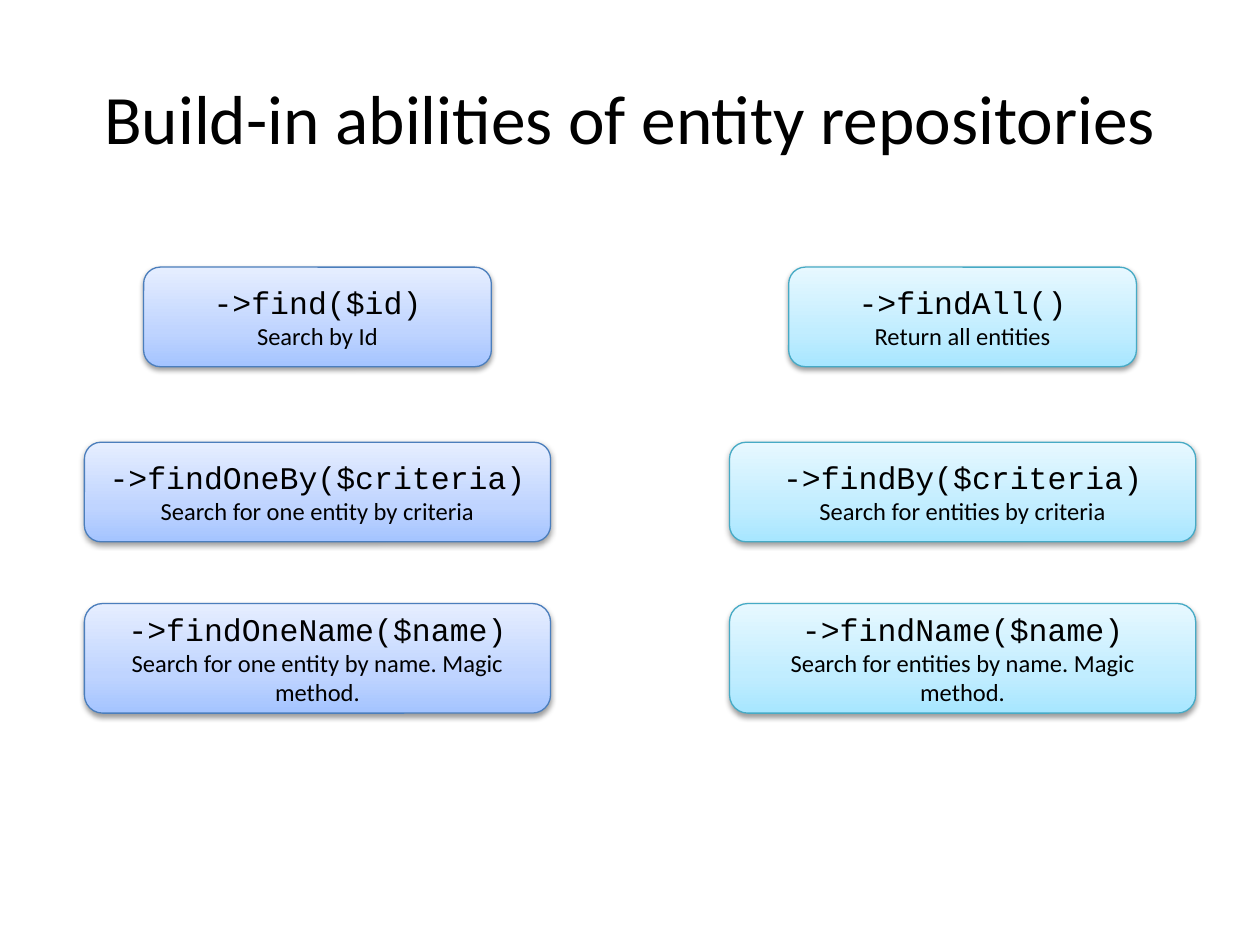
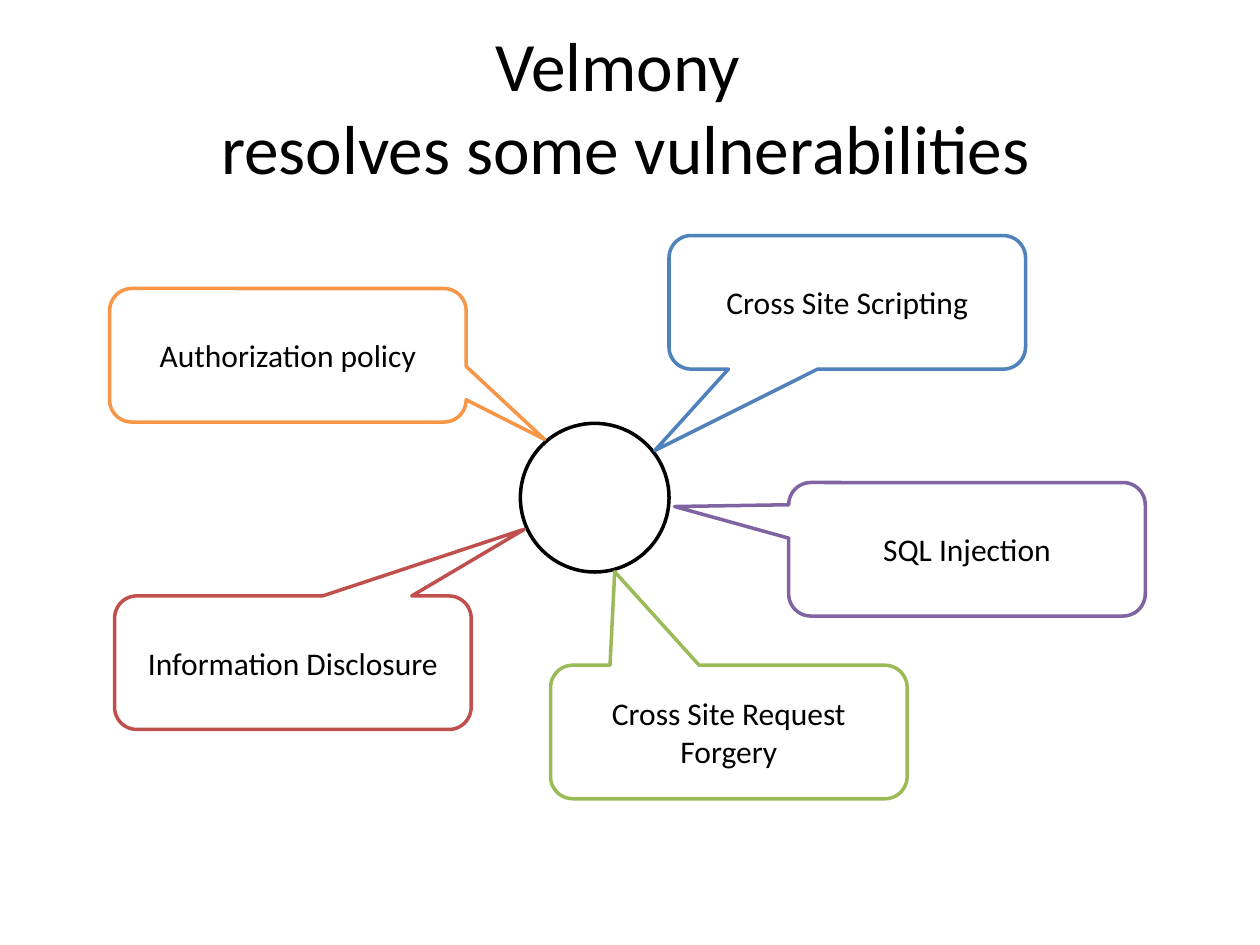
from copy import deepcopy
from typing import NamedTuple

from lxml import etree
from pptx import Presentation
from pptx.dml.color import RGBColor
from pptx.enum import shapes, text
from pptx.oxml.ns import qn
from pptx.util import Inches, Pt

COLORS = {
    "black": "000000",
    "white": "FFFFFF",
    "blue": "4F81BD",
    "purple": "8064A2",
    "green": "9BBB59",
    "red": "C0504D",
    "orange": "F79646",
    "one_line": "4B7EBC",
    "one_low": "A4C4FF",
    "one_mid": "BFD4FF",
    "one_high": "E6EEFF",
    "many_line": "46AAC5",
    "many_low": "A7E6FF",
    "many_mid": "C1EDFF",
    "many_high": "E7F8FF",
}
BODY_FONT, CODE_FONT = "Calibri", "Courier New"
TITLE_ONLY = 5
CALLOUT_WIDTH, CALLOUT_HEIGHT = 2.83, 1.06


class Method(NamedTuple):
    code: str
    description: str


class MethodRow(NamedTuple):
    top: float
    width: float
    height: float
    one: Method
    many: Method


class Callout(NamedTuple):
    label: str
    color: str
    left: float
    top: float
    tip_x: float
    tip_y: float


COLUMN_CENTERS = {"one": 2.52, "many": 7.64}
METHOD_ROWS = [
    MethodRow(2.12, 2.76, 0.79,
              Method("->find($id)", "Search by Id"),
              Method("->findAll()", "Return all entities")),
    MethodRow(3.51, 3.7, 0.79,
              Method("->findOneBy($criteria)", "Search for one entity by criteria"),
              Method("->findBy($criteria)", "Search for entities by criteria")),
    MethodRow(4.79, 3.7, 0.87,
              Method("->findOneName($name)", "Search for one entity by name. Magic method."),
              Method("->findName($name)", "Search for entities by name. Magic method.")),
]
# Tips are offsets from the callout's centre, in shares of its width and height.
CALLOUTS = [
    Callout("Cross Site Scripting", "blue", 5.31, 1.87, -0.54, 1.11),
    Callout("SQL Injection", "purple", 6.26, 3.83, -0.82, -0.32),
    Callout("Cross Site Request Forgery", "green", 4.37, 5.28, -0.32, -1.2),
    Callout("Information Disclosure", "red", 0.91, 4.73, 0.65, -1.0),
    Callout("Authorization policy", "orange", 0.87, 2.29, 0.72, 0.63),
]


def rgb(name: str) -> RGBColor:
    return RGBColor.from_string(COLORS[name])


def format_paragraph(paragraph, size: float, font: str = BODY_FONT) -> None:
    paragraph.alignment = text.PP_ALIGN.CENTER
    paragraph.font.size = Pt(size)
    paragraph.font.name = font
    paragraph.font.color.rgb = rgb("black")


def add_titled_slide(presentation, title: str, left: float, top: float, width: float):
    slide = presentation.slides.add_slide(presentation.slide_layouts[TITLE_ONLY])
    shape = slide.shapes.title
    shape.left, shape.top = Inches(left), Inches(top)
    shape.width, shape.height = Inches(width), Inches(1.25)
    shape.text_frame.text = title
    shape.text_frame.vertical_anchor = text.MSO_ANCHOR.MIDDLE
    format_paragraph(shape.text_frame.paragraphs[0], 39.6)
    return slide


def add_outlined_shape(slide, kind, left: float, top: float, width: float, height: float,
                       line: str, line_width: float):
    shape = slide.shapes.add_shape(kind, Inches(left), Inches(top), Inches(width), Inches(height))
    shape.shadow.inherit = False
    shape.fill.solid()
    shape.fill.fore_color.rgb = rgb("white")
    shape.line.color.rgb = rgb(line)
    shape.line.width = Pt(line_width)
    shape.text_frame.vertical_anchor = text.MSO_ANCHOR.MIDDLE
    return shape


def fill_gradient(shape, family: str) -> None:
    """Fade from the low tone at the bottom to the high tone at the top."""
    shape.fill.gradient()
    shape.fill.gradient_angle = 90
    stop_list = shape.element.spPr.find(".//" + qn("a:gsLst"))
    stop_list.insert(1, deepcopy(stop_list[0]))
    tones = [("low", 0), ("mid", 0.35), ("high", 1)]
    for stop, (tone, position) in zip(shape.fill.gradient_stops, tones):
        stop.color.rgb = rgb(f"{family}_{tone}")
        stop.position = position


def add_soft_shadow(shape) -> None:
    effects = shape.element.spPr.find(qn("a:effectLst"))
    shadow = etree.SubElement(effects, qn("a:outerShdw"), blurRad="40000", dist="20000",
                              dir="5400000", rotWithShape="0")
    color = etree.SubElement(shadow, qn("a:srgbClr"), val=COLORS["black"])
    etree.SubElement(color, qn("a:alpha"), val="38000")


def add_method_box(slide, row: MethodRow, family: str) -> None:
    method = getattr(row, family)
    shape = add_outlined_shape(slide, shapes.MSO_SHAPE.ROUNDED_RECTANGLE,
                               COLUMN_CENTERS[family] - row.width / 2, row.top,
                               row.width, row.height, f"{family}_line", 0.75)
    fill_gradient(shape, family)
    add_soft_shadow(shape)
    frame = shape.text_frame
    frame.text = f"{method.code}\n{method.description}"
    format_paragraph(frame.paragraphs[0], 18, CODE_FONT)
    format_paragraph(frame.paragraphs[1], 14)


def add_callout(slide, callout: Callout) -> None:
    shape = add_outlined_shape(slide, shapes.MSO_SHAPE.ROUNDED_RECTANGULAR_CALLOUT,
                               callout.left, callout.top, CALLOUT_WIDTH, CALLOUT_HEIGHT,
                               callout.color, 2)
    shape.adjustments[0] = callout.tip_x
    shape.adjustments[1] = callout.tip_y
    shape.text_frame.text = callout.label
    format_paragraph(shape.text_frame.paragraphs[0], 18)


def build_repository_slide(presentation) -> None:
    slide = add_titled_slide(presentation, "Build-in abilities of entity repositories", 0.5, 0.3, 9)
    for row in METHOD_ROWS:
        for family in COLUMN_CENTERS:
            add_method_box(slide, row, family)


def build_vulnerability_slide(presentation) -> None:
    slide = add_titled_slide(presentation, "Velmony \vresolves some vulnerabilities",
                             0.12, 0.21, 9.69)
    add_outlined_shape(slide, shapes.MSO_SHAPE.OVAL, 4.13, 3.36, 1.18, 1.18, "black", 2)
    for callout in CALLOUTS:
        add_callout(slide, callout)


def main() -> None:
    presentation = Presentation()
    presentation.slide_width, presentation.slide_height = Inches(10), Inches(7.5)
    build_repository_slide(presentation)
    build_vulnerability_slide(presentation)
    presentation.save("out.pptx")


if __name__ == "__main__":
    main()
